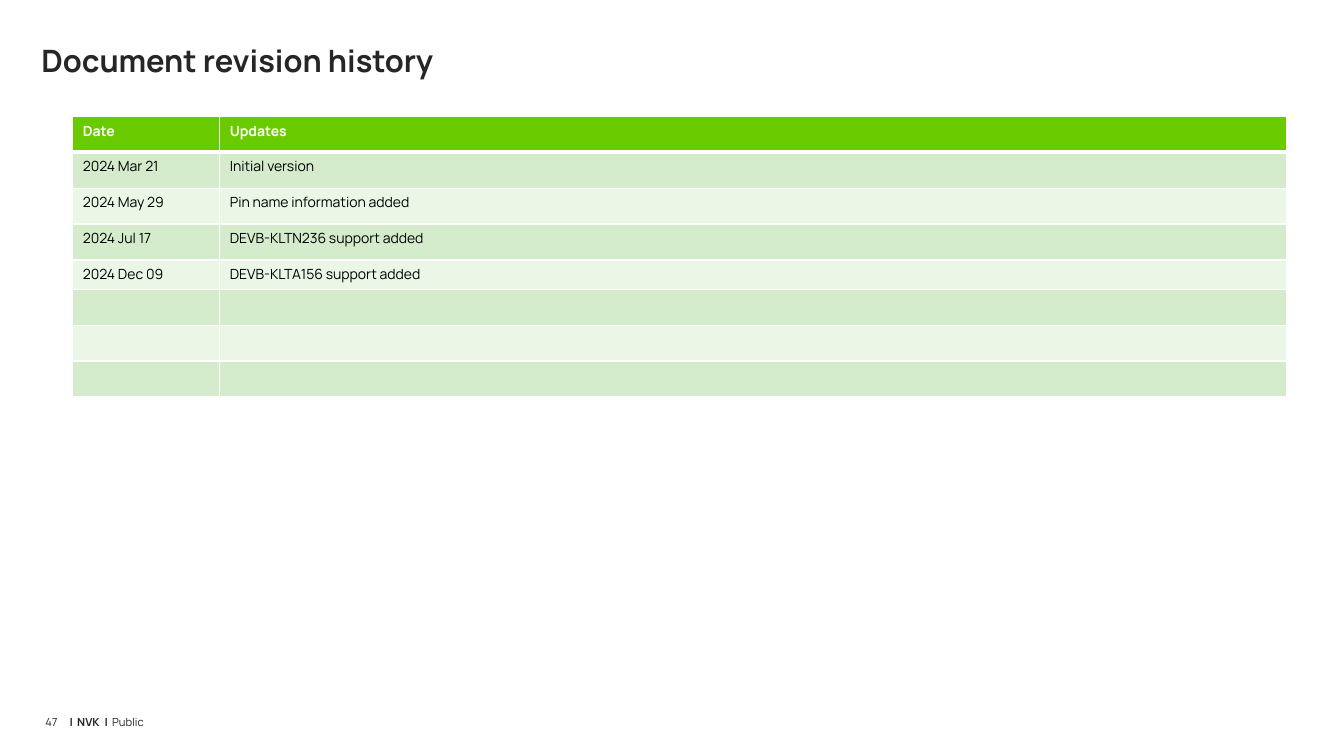
"""Build the document revision history slide."""
from dataclasses import dataclass

from lxml import etree
from pptx import Presentation
from pptx.dml.color import RGBColor
from pptx.enum.text import MSO_ANCHOR, MSO_AUTO_SIZE, PP_ALIGN
from pptx.oxml.ns import qn
from pptx.util import Pt

TOP = MSO_ANCHOR.TOP
NO_FIT = MSO_AUTO_SIZE.NONE
LEFT = PP_ALIGN.LEFT
TITLE_ONLY = 5


@dataclass(frozen=True)
class Theme:
    """Colours, font and type sizes of the slide."""
    font: str = "Manrope"
    ink: str = "262626"
    black: str = "000000"
    white: str = "FFFFFF"
    header: str = "69CA00"
    bands: tuple = ("D4ECCC", "EBF6E7")
    title_size: float = 22
    table_size: float = 10
    footer_size: float = 8


THEME = Theme()
FRAME = {"margin_left": 0, "margin_top": 0, "margin_right": 0, "margin_bottom": 0,
         "word_wrap": True, "auto_size": NO_FIT, "vertical_anchor": TOP}
REVISIONS = [
    ("Date", "Updates"),
    ("2024 Mar 21", "Initial version"),
    ("2024 May 29", "Pin name information added"),
    ("2024 Jul 17", "DEVB-KLTN236 support added"),
    ("2024 Dec 09", "DEVB-KLTA156 support added"),
    ("", ""),
    ("", ""),
    ("", ""),
]


def apply(target, values):
    """Set every attribute named in a dict of format values."""
    for name, value in values.items():
        setattr(target, name, value)


def add_text(paragraph, text, size, color, bold=False):
    """Add one formatted run to a paragraph."""
    run = paragraph.add_run()
    run.text = text
    apply(run.font, {"name": THEME.font, "size": Pt(size), "bold": bold})
    run.font.color.rgb = RGBColor.from_string(color)


def add_title(slide, left, top, width, height):
    """Place the slide title in its placeholder."""
    title = slide.shapes.title
    apply(title, {"left": Pt(left), "top": Pt(top), "width": Pt(width), "height": Pt(height)})
    apply(title.text_frame, FRAME)
    heading = title.text_frame.paragraphs[0]
    heading.alignment = LEFT
    add_text(heading, "Document revision history", THEME.title_size, THEME.ink, True)


def add_borders(cell, widths):
    """Draw white borders of the given widths on a cell."""
    properties = cell._tc.get_or_add_tcPr()
    for position, (side, width) in enumerate(widths.items()):
        line = etree.Element(qn(f"a:{side}"), w=str(Pt(width)))
        fill = etree.SubElement(line, qn("a:solidFill"))
        etree.SubElement(fill, qn("a:srgbClr"), val=THEME.white)
        properties.insert(position, line)


def fill_cell(cell, text, row):
    """Write, fill and border one cell according to its row."""
    is_header = row == 0
    background = THEME.header if is_header else THEME.bands[(row - 1) % 2]
    cell.fill.solid()
    cell.fill.fore_color.rgb = RGBColor.from_string(background)
    paragraph = cell.text_frame.paragraphs[0]
    if text:
        color = THEME.white if is_header else THEME.black
        add_text(paragraph, text, THEME.table_size, color, is_header)
    else:
        etree.SubElement(paragraph._p, qn("a:endParaRPr"), sz=str(THEME.table_size * 100))
    add_borders(cell, {"lnL": 1, "lnR": 1, "lnT": 3 if row == 1 else 1,
                       "lnB": 3 if is_header else 1})


def add_revisions(slide, left, top, width, date_width, row_height):
    """Place the table of dates and updates."""
    frame = slide.shapes.add_table(len(REVISIONS), 2, Pt(left), Pt(top), Pt(width),
                                   Pt(row_height * len(REVISIONS)))
    history = frame.table
    history.horz_banding = False
    history.columns[0].width = Pt(date_width)
    history.columns[1].width = Pt(width - date_width)
    latest_row = max(row for row, entry in enumerate(REVISIONS) if entry[0])
    for row, entry in enumerate(REVISIONS):
        history.rows[row].height = Pt(16.6 if row == latest_row else row_height)
        for column, text in enumerate(entry):
            fill_cell(history.cell(row, column), text, row)


def add_footer_line(slide, left, top, width, height):
    """Place one footer text box and return its paragraph."""
    box = slide.shapes.add_textbox(Pt(left), Pt(top), Pt(width), Pt(height))
    apply(box.text_frame, FRAME)
    line = box.text_frame.paragraphs[0]
    line.line_spacing = Pt(16.8)
    return line


def add_footer(slide, left, top, width, height):
    """Place the page number and the classification line."""
    page_number = add_footer_line(slide, left, top, 13, height)
    add_text(page_number, "47", THEME.footer_size, THEME.ink)
    label = add_footer_line(slide, left + 17.3, top, width - 17.3, height)
    stops = etree.SubElement(label._p.get_or_add_pPr(), qn("a:tabLst"))
    for position in (5.5, 25, 30.5):
        etree.SubElement(stops, qn("a:tab"), pos=str(Pt(position)), algn="l")
    add_text(label, "|\tNVK\t|\t", THEME.footer_size, THEME.ink, True)
    add_text(label, "Public", THEME.footer_size, THEME.ink)


def main():
    """Build and save the presentation."""
    deck = Presentation()
    apply(deck, {"slide_width": Pt(960), "slide_height": Pt(540)})
    slide = deck.slides.add_slide(deck.slide_layouts[TITLE_ONLY])
    add_title(slide, 29.5, 29.5, 900, 53.3)
    add_revisions(slide, 52, 83, 867, 105, 25.7)
    add_footer(slide, 32.4, 504, 337, 13.7)
    deck.save("out.pptx")


if __name__ == "__main__":
    main()
